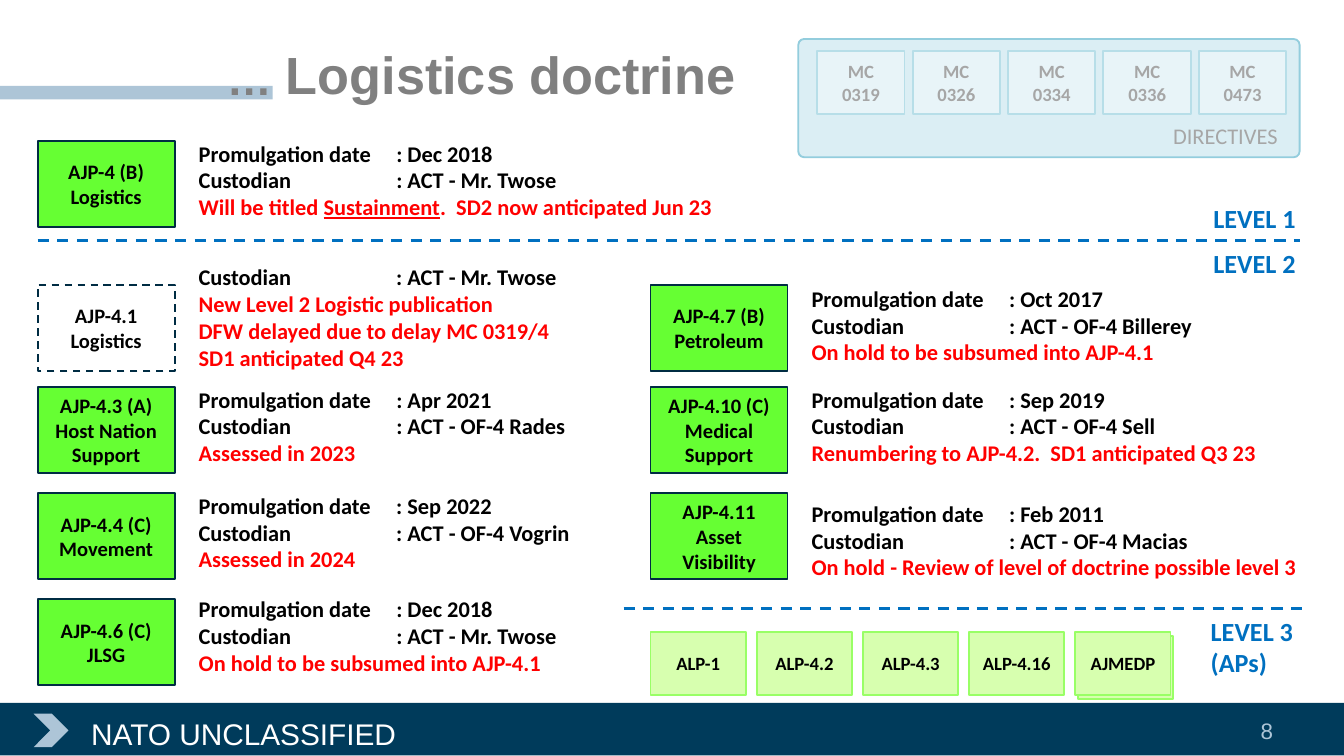
from pptx import Presentation
from pptx.util import Inches, Pt
from pptx.dml.color import RGBColor
from pptx.enum.shapes import MSO_SHAPE as Kind, MSO_CONNECTOR as Link
from pptx.enum.text import PP_ALIGN as Align, MSO_ANCHOR as Anchor, MSO_AUTO_SIZE as Auto
from pptx.enum.dml import MSO_LINE as Dash
from lxml.etree import SubElement
from pptx.oxml.ns import qn

color = RGBColor.from_string
deck = Presentation()
deck.slide_width = Inches(10)
deck.slide_height = Inches(10) * 9 // 16
slide = deck.slides.add_slide(deck.slide_layouts[6])
shapes = slide.shapes

RED, BLUE, GRAY, PALE = "FF0000", "0070C0", "A6A6A6", "ADC5D7"


def box(at, fill=None, line=None, kind=Kind.RECTANGLE):
    """Add a preset shape with a plain fill and a 1 pt outline."""
    item = shapes.add_shape(kind, *map(Inches, at))
    item.shadow.inherit = False
    if fill:
        item.fill.solid()
        item.fill.fore_color.rgb = color(fill)
    else:
        item.fill.background()
    if line:
        item.line.color.rgb = color(line)
        item.line.width = Pt(1)
    else:
        item.line.fill.background()
    return item


def write(item, runs, size, tint="000000", face="Calibri", bold=True,
          align=Align.LEFT, anchor=Anchor.TOP, wrap=True, side=0.1, tab=None):
    """Fill a shape with runs of (text, format changes)."""
    frame = item.text_frame
    look = {"word_wrap": wrap, "vertical_anchor": anchor,
            "margin_left": Inches(side), "margin_right": Inches(side),
            "auto_size": Auto.NONE if wrap else Auto.SHAPE_TO_FIT_TEXT}
    for key, value in look.items():
        setattr(frame, key, value)
    para = frame.paragraphs[0]
    para.alignment = align
    if tab:
        tabs = SubElement(para._p.get_or_add_pPr(), qn("a:tabLst"))
        SubElement(tabs, qn("a:tab"), pos=str(Inches(tab)), algn="l")
    for text, change in runs:
        form = {"size": Pt(size), "name": face, "bold": bold, "tint": tint} | change
        shade = form.pop("tint")
        for num, part in enumerate(text.split("\n")):
            if num:
                para.add_line_break()
            if not part:
                continue
            run = para.add_run()
            run.text = part
            run.font.color.rgb = color(shade)
            for key, value in form.items():
                setattr(run.font, key, value)


# Footer band, title bar and chevron
box((0, 5.23, 10, 0.39), "003B5B")
box((0, 0.64, 2.03, 0.1), PALE)
box((0.25, 5.31, 0.26, 0.25), PALE, kind=Kind.CHEVRON)

# Title, footer text and page number
for text, at, form in [
    ("…", (1.59, 0.33, 0.36, 0.5), {"size": 24, "tint": "808080", "anchor": Anchor.BOTTOM}),
    ("8", (9.04, 5.25, 0.53, 0.37), {"size": 12, "tint": PALE, "bold": False,
                                     "align": Align.RIGHT, "anchor": Anchor.MIDDLE}),
    ("NATO UNCLASSIFIED", (0.58, 5.25, 9.42, 0.39),
     {"size": 16, "tint": "FFFFFF", "bold": False, "anchor": Anchor.BOTTOM}),
    ("Logistics doctrine", (2.03, 0.33, 7.64, 0.5),
     {"size": 28, "tint": "808080", "anchor": Anchor.BOTTOM}),
]:
    write(shapes.add_textbox(*map(Inches, at)), [(text, {})], face="Arial", **form)

mid = {"align": Align.CENTER, "anchor": Anchor.MIDDLE}

# Directives panel
panel = box((5.94, 0.29, 3.73, 0.88), "DBEEF4", "93CDDD", Kind.ROUNDED_RECTANGLE)
panel.adjustments[0] = 0.05
for col, code in enumerate(["0319", "0326", "0334", "0336", "0473"]):
    card = box((6.08 + col * 0.71, 0.38, 0.65, 0.47), "E8F4F8", "B7DEE8")
    write(card, [("MC " + code, {})], 10, GRAY, **mid)
label = box((8.63, 0.86, 0.99, 0.3), "DBEEF4")
write(label, [("DIRECTIVES", {})], 12, GRAY, bold=False, wrap=False)

# Publication boxes
left, right = 0.28, 4.84
rows = [2.12, 2.88, 3.67, 4.46]
for x, y, name in [
    (left, 1.05, "AJP-4 (B)\nLogistics"),
    (left, rows[0], "AJP-4.1\nLogistics"),
    (left, rows[1], "AJP-4.3 (A)\nHost Nation Support"),
    (left, rows[2], "AJP-4.4 (C)\nMovement"),
    (left, rows[3], "AJP-4.6 (C)\nJLSG"),
    (right, rows[0], "AJP-4.7 (B)\nPetroleum"),
    (right, rows[1], "AJP-4.10 (C)\nMedical Support"),
    (right, rows[2], "AJP-4.11\nAsset Visibility"),
]:
    draft = name.startswith("AJP-4.1\n")
    pub = box((x, y, 1.02, 0.64), None if draft else "66FF33", "002C43")
    if draft:
        pub.line.dash_style = Dash.DASH
    write(pub, [(name, {})], 11, **mid)

# Publication details: date, custodian and status in red
red = {"tint": RED}
hold = [("On hold to be subsumed into AJP-4.1", red)]
for x, y, wide, date, owner, note in [
    (1.38, 0.99, 4.08, "Dec 2018", "Mr. Twose",
     [("Will be titled ", red), ("Sustainment", red | {"underline": True}),
      (".  SD2 now anticipated Jun 23", red)]),
    (1.38, 1.91, 3.46, None, "Mr. Twose",
     [("New Level 2 Logistic publication\nDFW delayed due to delay MC 0319/4\n"
       "SD1 anticipated Q4 23", red)]),
    (1.38, 2.82, 2.99, "Apr 2021", "OF-4 Rades", [("Assessed in 2023", red)]),
    (1.38, 3.61, 3.1, "Sep 2022", "OF-4 Vogrin", [("Assessed in 2024", red)]),
    (1.38, 4.38, 2.89, "Dec 2018", "Mr. Twose", hold),
    (5.94, 2.07, 3.17, "Oct 2017", "OF-4 Billerey", hold),
    (5.94, 2.82, 3.61, "Sep 2019", "OF-4 Sell",
     [("Renumbering to AJP-4.2.  SD1 anticipated Q3 23", red)]),
    (5.94, 3.67, 3.94, "Feb 2011", "OF-4 Macias",
     [("On hold - Review of level of doctrine possible level 3", red)]),
]:
    facts = f"Promulgation date\t: {date}\n" if date else ""
    facts += f"Custodian\t: ACT - {owner}\n"
    area = shapes.add_textbox(*map(Inches, (x, y, wide, 0.71 if date else 1.11)))
    write(area, [(facts, {})] + note, 12, wrap=not date, tab=1.47)

# Level dividers
for start, end, y in [(0.28, 9.67, 1.79), (4.64, 9.75, 4.53)]:
    rule = shapes.add_connector(Link.STRAIGHT, *map(Inches, (start, y, end, y)))
    rule.line.color.rgb = color(BLUE)
    rule.line.width = Pt(1.5)
    rule.line.dash_style = Dash.DASH
    SubElement(rule._element.spPr, qn("a:effectLst"))

# Level labels
for x, y, high, text in [(8.93, 1.46, 0.34, "LEVEL 1"), (8.93, 1.79, 0.34, "LEVEL 2"),
                         (8.91, 4.53, 0.57, "LEVEL 3\n(APs)")]:
    area = shapes.add_textbox(*map(Inches, (x, y, 0.82, high)))
    write(area, [(text, {})], 14, BLUE, wrap=False)

# Level 3 publications, the last one stacked on a second card
cards = [(right + col * 0.79, 4.7, name) for col, name in
         enumerate(["ALP-1", "ALP-4.2", "ALP-4.3", "ALP-4.16", "AJMEDP"])]
cards.insert(4, (8.02, 4.73, "AJMEDP"))
for x, y, name in cards:
    card = box((x, y, 0.71, 0.47), "D7FFAF", "99FF66")
    write(card, [(name, {})], 10, side=0.05, **mid)

deck.save("out.pptx")
